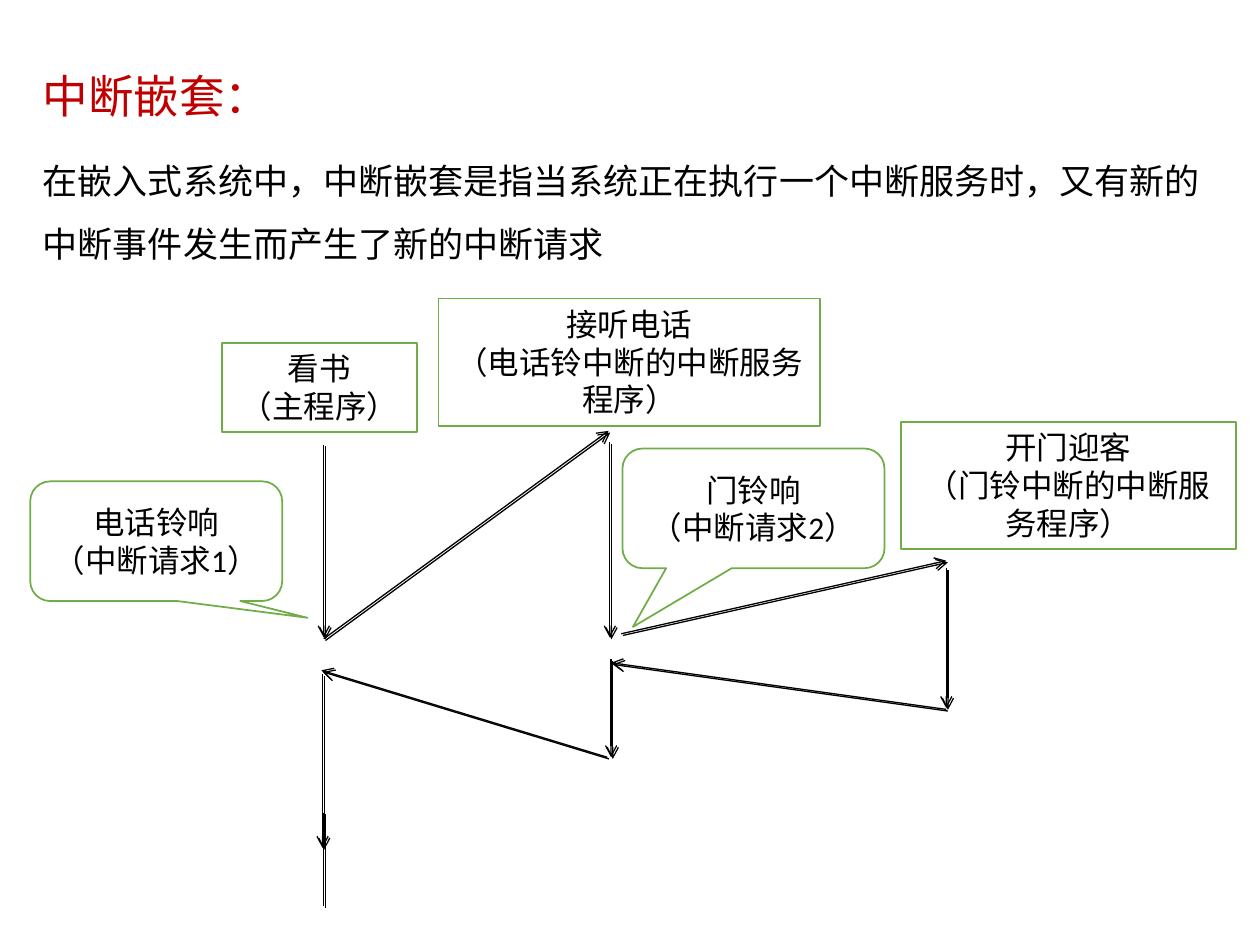
from lxml.etree import SubElement
from pptx import Presentation
from pptx.dml.color import RGBColor
from pptx.enum.shapes import MSO_CONNECTOR, MSO_SHAPE
from pptx.enum.text import MSO_ANCHOR, MSO_AUTO_SIZE, PP_ALIGN
from pptx.oxml.ns import qn
from pptx.util import Inches, Pt

COLORS = {"title": "C00000", "ink": "000000", "border": "70AD47", "paper": "FFFFFF"}
COLUMNS, ROWS = 100, 75
WIDTH, HEIGHT = Inches(10), Inches(7.5)
MAIN, PHONE, DOOR = 25.7, 48.4, 75.1


def color(name):
    """Return a named colour."""
    return RGBColor.from_string(COLORS[name])


def place(column, row):
    """Turn grid columns and rows into slide lengths."""
    return round(WIDTH * column / COLUMNS), round(HEIGHT * row / ROWS)


def style_paragraph(para, size, font, ink="ink"):
    """Format every run of a paragraph."""
    for span in para.runs:
        span.font.name = font
        span.font.size = Pt(size)
        span.font.color.rgb = color(ink)
        properties = span.font._element
        SubElement(properties, qn("a:ea"), typeface="Noto Sans CJK SC")


def fill_placeholder(box, area, text, size, font, ink="ink", spacing=1.0):
    """Move a placeholder and give it plain left-aligned text."""
    box.left, box.top = place(*area[:2])
    box.width, box.height = place(*area[2:])
    frame = box.text_frame
    frame.text = text
    frame.vertical_anchor = MSO_ANCHOR.TOP
    frame.auto_size = MSO_AUTO_SIZE.SHAPE_TO_FIT_TEXT
    para = frame.paragraphs[0]
    properties = para._p.get_or_add_pPr()
    properties.set("marL", "0")
    properties.set("indent", "0")
    SubElement(properties, qn("a:buNone"))
    para.alignment = PP_ALIGN.LEFT
    para.line_spacing = spacing
    para.space_before = Pt(0)
    style_paragraph(para, size, font, ink)


def add_box(page, kind, area, text, fonts):
    """Add a green-bordered shape with centred text."""
    box = page.shapes.add_shape(kind, *place(*area[:2]), *place(*area[2:]))
    box.shadow.inherit = False
    box.fill.solid()
    box.fill.fore_color.rgb = color("paper")
    box.line.color.rgb = color("border")
    box.line.width = Pt(1)
    box.text_frame.word_wrap = True
    box.text_frame.text = text
    for para, font in zip(box.text_frame.paragraphs, fonts):
        para.alignment = PP_ALIGN.CENTER
        style_paragraph(para, 18, font)
    return box


def add_task(page, area, text):
    """Add a box that names a running program."""
    box = add_box(page, MSO_SHAPE.RECTANGLE, area, text, ["Calibri"])
    box.text_frame.vertical_anchor = MSO_ANCHOR.TOP
    box.text_frame.auto_size = MSO_AUTO_SIZE.SHAPE_TO_FIT_TEXT


def add_request(page, area, text, tip):
    """Add a callout for an interrupt request."""
    kind = MSO_SHAPE.ROUNDED_RECTANGULAR_CALLOUT
    box = add_box(page, kind, area, text, ["Arial", "Calibri"])
    box.text_frame.vertical_anchor = MSO_ANCHOR.MIDDLE
    box.adjustments[0], box.adjustments[1] = tip


def add_flow(shapes, start, end, arrow=True):
    """Add a flow line with a hard offset shadow."""
    line = shapes.add_connector(MSO_CONNECTOR.STRAIGHT, *place(*start), *place(*end))
    line.line.color.rgb = color("ink")
    line.line.width = Pt(0.75)
    if arrow:
        SubElement(line.line._get_or_add_ln(), qn("a:tailEnd"), type="arrow")
    effects = SubElement(line._element.spPr, qn("a:effectLst"))
    shadow = SubElement(effects, qn("a:outerShdw"), dist=str(Pt(1.4)),
                        dir="2700000", algn="ctr", rotWithShape="0")
    SubElement(shadow, qn("a:srgbClr"), val=COLORS["ink"])


def main():
    """Build the nested interrupt slide."""
    deck = Presentation()
    deck.slide_width, deck.slide_height = WIDTH, HEIGHT
    page = deck.slides.add_slide(deck.slide_layouts[1])
    title, body = page.placeholders
    fill_placeholder(title, (2.4, 4.9, 20.3, 5.4), "中断嵌套：", 26, "Arial", "title")
    title.text_frame.word_wrap = False
    fill_placeholder(
        body, (2.4, 10.5, 94.9, 10.3),
        "在嵌入式系统中，中断嵌套是指当系统正在执行一个中断服务时，又有新的中断事件发生而产生了新的中断请求",
        20, "Noto Sans CJK SC", spacing=1.5)

    flows = [
        ((MAIN, 35.3), (MAIN, 50.6)),
        ((MAIN, 50.7), (48.3, 34.2)),
        ((PHONE, 35.1), (PHONE, 50.6)),
        ((49.3, 50.3), (DOOR, 44.5)),
        ((DOOR, 45.1), (DOOR, 56.2)),
        ((DOOR, 56.3), (48.5, 52.6)),
        ((48.5, 52.3), (48.5, 60.1)),
        ((48.2, 60.1), (25.5, 53.2)),
    ]
    for start, end in flows:
        add_flow(page.shapes, start, end)
    resumed = page.shapes.add_group_shape()
    add_flow(resumed.shapes, (25.6, 53.5), (25.6, 67.3))
    add_flow(resumed.shapes, (MAIN, 64.5), (MAIN, 71.9), arrow=False)

    tasks = [
        ((17.6, 27.2, 15.5, 7.1), "看书\v（主程序）"),
        ((34.8, 23.7, 30.3, 10.1), "接听电话\v（电话铃中断的中断服务程序）"),
        ((71.5, 33.5, 26.6, 10.1), "开门迎客\v（门铃中断的中断服务程序）"),
    ]
    for area, text in tasks:
        add_task(page, area, text)
    requests = [
        ((2.4, 38.2, 20, 9.5), "电话铃响\n（中断请求1）", (0.6, 0.64)),
        ((49.4, 35.6, 20.8, 9.5), "门铃响\n（中断请求2）", (-0.46, 0.99)),
    ]
    for area, text, tip in requests:
        add_request(page, area, text, tip)
    deck.save("out.pptx")


if __name__ == "__main__":
    main()
